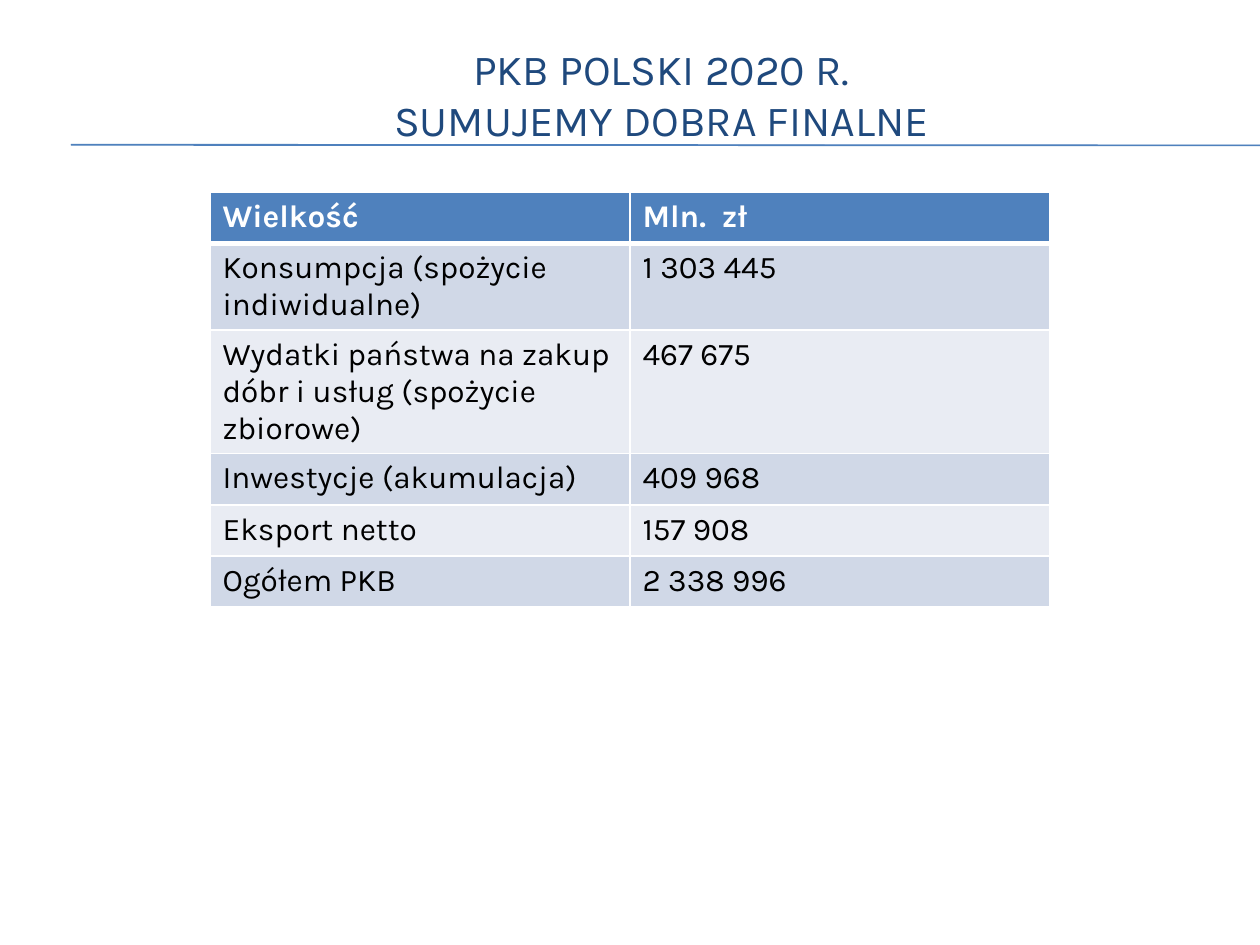
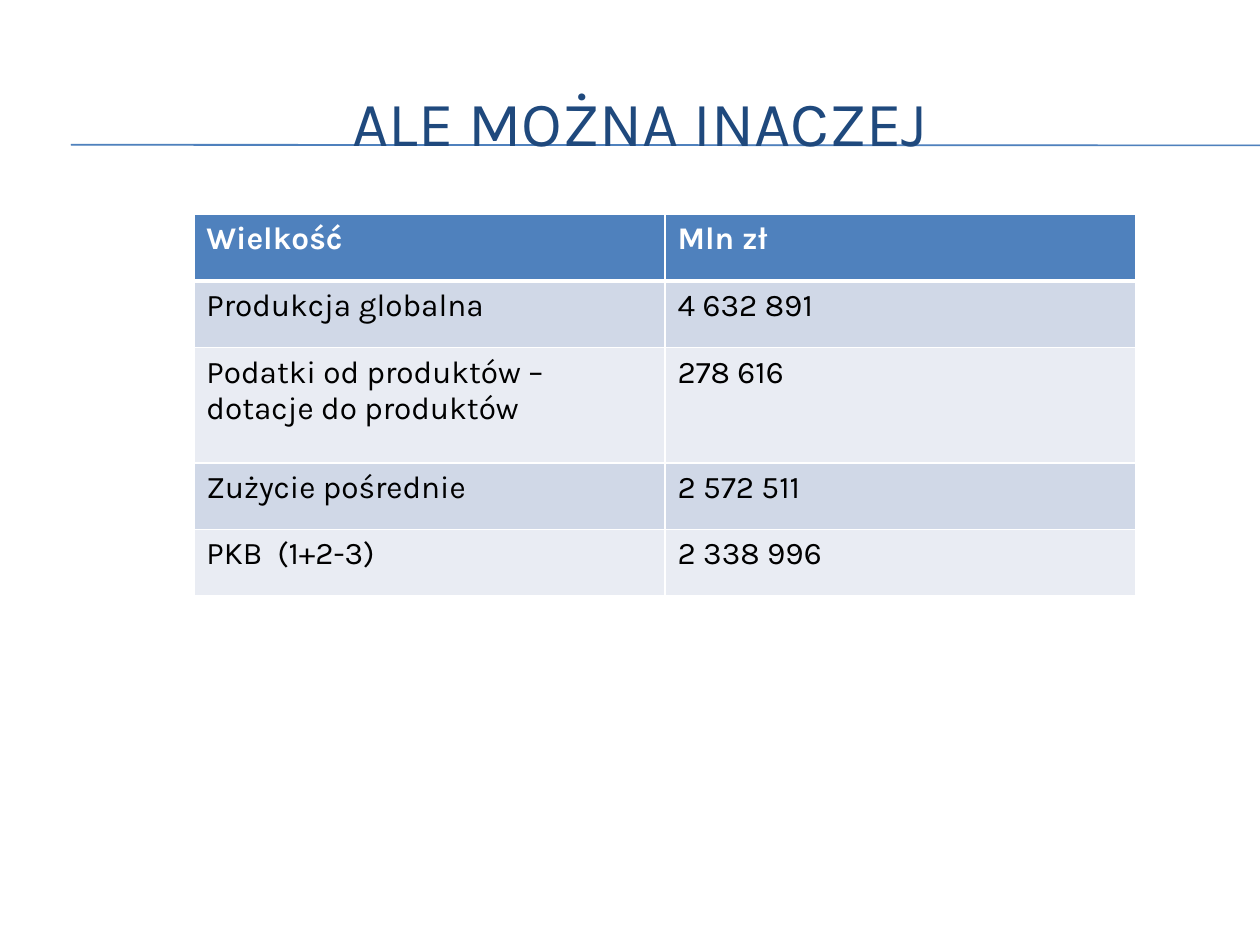
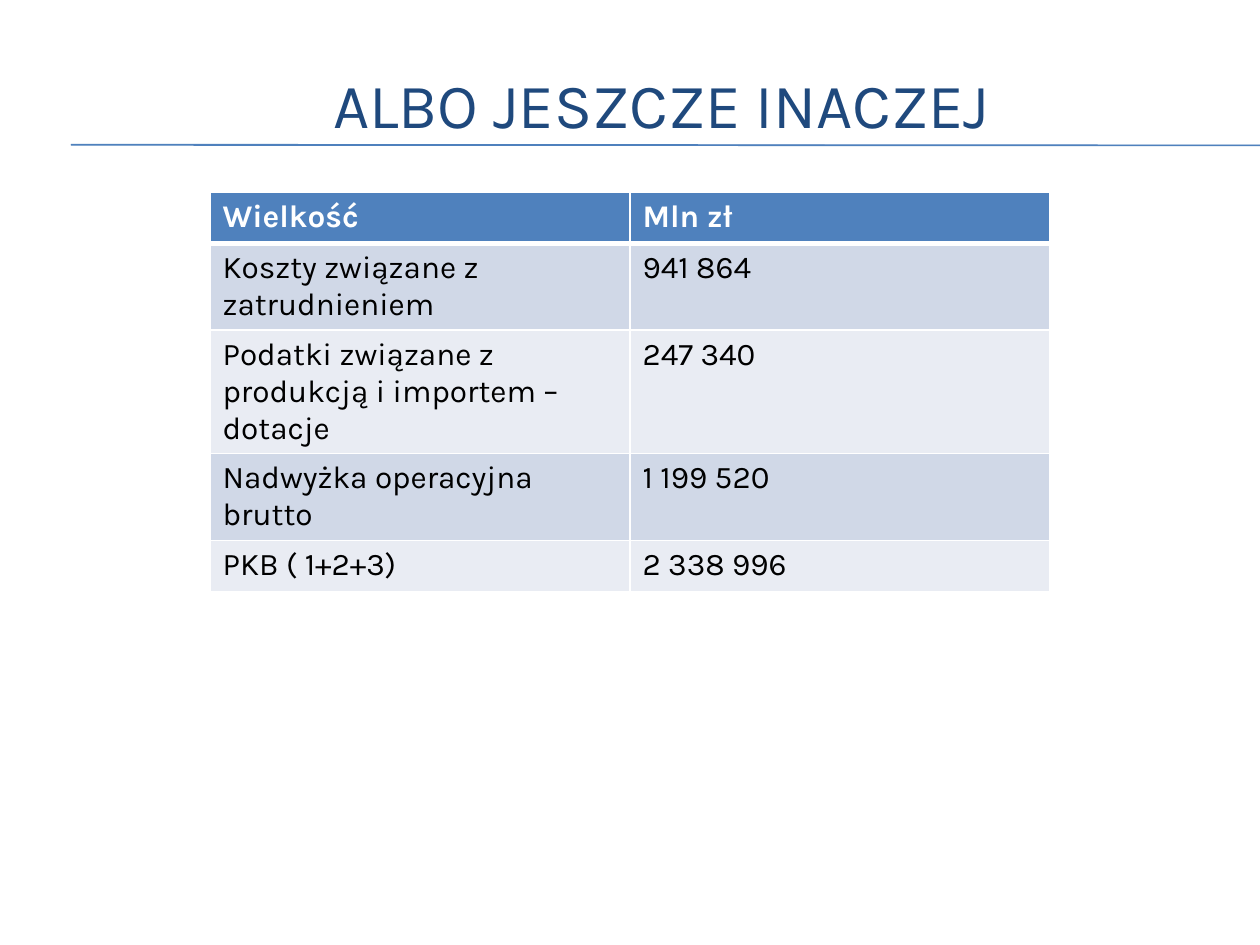
from dataclasses import dataclass

from lxml.etree import SubElement
from pptx import Presentation
from pptx.dml.color import RGBColor as RGB
from pptx.enum.shapes import MSO_CONNECTOR as CONNECTOR
from pptx.enum.text import MSO_ANCHOR as ANCHOR, MSO_AUTO_SIZE as AUTO_SIZE, PP_ALIGN as ALIGN
from pptx.oxml.ns import qn
from pptx.slide import Slide
from pptx.table import _Cell as Cell
from pptx.util import Pt


@dataclass(frozen=True)
class Theme:
    font: str = "Karla"
    title: RGB = RGB.from_string("1F497D")
    accent: RGB = RGB.from_string("4F81BD")
    text: RGB = RGB.from_string("000000")
    white: RGB = RGB.from_string("FFFFFF")
    bands: tuple[RGB, RGB] = (RGB.from_string("D0D8E7"), RGB.from_string("E9ECF3"))
    title_size: float = 36
    long_title_size: float = 24.5
    table_size: float = 18
    rule_width: float = 0.75
    border_width: float = 0.96
    header_border_width: float = 3


@dataclass(frozen=True)
class Rule:
    start_y: float
    end_y: float


@dataclass(frozen=True)
class GdpTable:
    left: float
    top: float
    col_width: float
    row_heights: tuple[float, ...]
    rows: tuple[tuple[str, str], ...]


@dataclass(frozen=True)
class GdpSlide:
    title: tuple[str, ...]
    title_left: float
    title_top: float
    title_size: float
    table: GdpTable


THEME = Theme()
SLIDE_W, SLIDE_H = 720, 540
TITLE_W, TITLE_H = 684, 66
RULE_LEFT = 40.5
RULES = (Rule(82.6, 83), Rule(82.9, 83.2))

SLIDES = (
    GdpSlide(
        ("PKB POLSKI 2020 R.", "SUMUJEMY DOBRA FINALNE"), 36, 20.75, THEME.long_title_size,
        GdpTable(120, 110, 240, (29.2,) * 6, (
            ("Wielkość", "Mln.  zł"),
            ("Konsumpcja (spożycie indiwidualne)", "1 303 445"),
            ("Wydatki państwa na zakup dóbr i usług (spożycie zbiorowe)", "467 675"),
            ("Inwestycje (akumulacja)", "409 968"),
            ("Eksport netto", "157 908"),
            ("Ogółem PKB", "2 338 996"),
        )),
    ),
    GdpSlide(
        ("ALE MOŻNA INACZEJ",), 23.75, 36.5, THEME.title_size,
        GdpTable(110.75, 122.5, 269.25, (38.1, 38.1, 65.75, 38.1, 38.1), (
            ("Wielkość", "Mln zł"),
            ("Produkcja globalna", "4 632 891"),
            ("Podatki od produktów – dotacje do produktów", "278 616"),
            ("Zużycie pośrednie", "2 572 511"),
            ("PKB  (1+2-3)", "2 338 996"),
        )),
    ),
    GdpSlide(
        ("ALBO JESZCZE INACZEJ",), 36, 26, THEME.title_size,
        GdpTable(120, 110, 240, (29.2,) * 5, (
            ("Wielkość", "Mln zł"),
            ("Koszty związane z zatrudnieniem", "941 864"),
            ("Podatki związane z produkcją i importem – dotacje", "247 340"),
            ("Nadwyżka operacyjna brutto", "1 199 520"),
            ("PKB ( 1+2+3)", "2 338 996"),
        )),
    ),
)


def add_run(p, text: str, size: float, color: RGB, bold: bool = False) -> None:
    r = p.add_run()
    r.text = text
    r.font.name = THEME.font
    r.font.size = Pt(size)
    r.font.bold = bold
    r.font.color.rgb = color


def add_rules(slide: Slide) -> None:
    """Draw the two slightly sloping rules behind the title."""
    for i, rule in enumerate(RULES):
        line = slide.shapes.add_connector(
            CONNECTOR.STRAIGHT, Pt(RULE_LEFT), Pt(rule.start_y), Pt(SLIDE_W), Pt(rule.end_y))
        line.line.color.rgb = THEME.accent
        line.line.width = Pt(THEME.rule_width)
        SubElement(line._element.spPr, qn("a:effectLst"))
        slide.shapes._spTree.insert(2 + i, line._element)


def set_title(slide: Slide, data: GdpSlide) -> None:
    sp = slide.shapes.title
    sp.left, sp.top = Pt(data.title_left), Pt(data.title_top)
    sp.width, sp.height = Pt(TITLE_W), Pt(TITLE_H)
    tf = sp.text_frame
    tf.word_wrap = True
    tf.auto_size = AUTO_SIZE.NONE
    tf.vertical_anchor = ANCHOR.MIDDLE
    p = tf.paragraphs[0]
    p.alignment = ALIGN.CENTER
    for i, text in enumerate(data.title):
        if i:
            p.add_line_break()
        add_run(p, text, data.title_size, THEME.title)


def set_borders(cell: Cell, top: float, bottom: float) -> None:
    side = THEME.border_width
    tc_pr = cell._tc.get_or_add_tcPr()
    for tag, width in (("lnL", side), ("lnR", side), ("lnT", top), ("lnB", bottom)):
        ln = SubElement(tc_pr, qn(f"a:{tag}"), w=str(Pt(width)))
        fill = SubElement(ln, qn("a:solidFill"))
        SubElement(fill, qn("a:srgbClr"), val=str(THEME.white))


def add_gdp_table(slide: Slide, data: GdpTable) -> None:
    n_cols = len(data.rows[0])
    table = slide.shapes.add_table(
        len(data.rows), n_cols, Pt(data.left), Pt(data.top),
        Pt(data.col_width * n_cols), Pt(sum(data.row_heights))).table
    for col in table.columns:
        col.width = Pt(data.col_width)
    for i, (texts, height) in enumerate(zip(data.rows, data.row_heights)):
        table.rows[i].height = Pt(height)
        header = i == 0
        top = THEME.header_border_width if i == 1 else THEME.border_width
        bottom = THEME.header_border_width if header else THEME.border_width
        for j, text in enumerate(texts):
            cell = table.cell(i, j)
            set_borders(cell, top, bottom)
            cell.fill.solid()
            cell.fill.fore_color.rgb = THEME.accent if header else THEME.bands[(i - 1) % 2]
            add_run(cell.text_frame.paragraphs[0], text, THEME.table_size,
                    THEME.white if header else THEME.text, header)


def main() -> None:
    prs = Presentation()
    prs.slide_width, prs.slide_height = Pt(SLIDE_W), Pt(SLIDE_H)
    title_only = prs.slide_layouts.get_by_name("Title Only")
    for data in SLIDES:
        slide = prs.slides.add_slide(title_only)
        add_rules(slide)
        set_title(slide, data)
        add_gdp_table(slide, data.table)
    prs.save("out.pptx")


if __name__ == "__main__":
    main()
